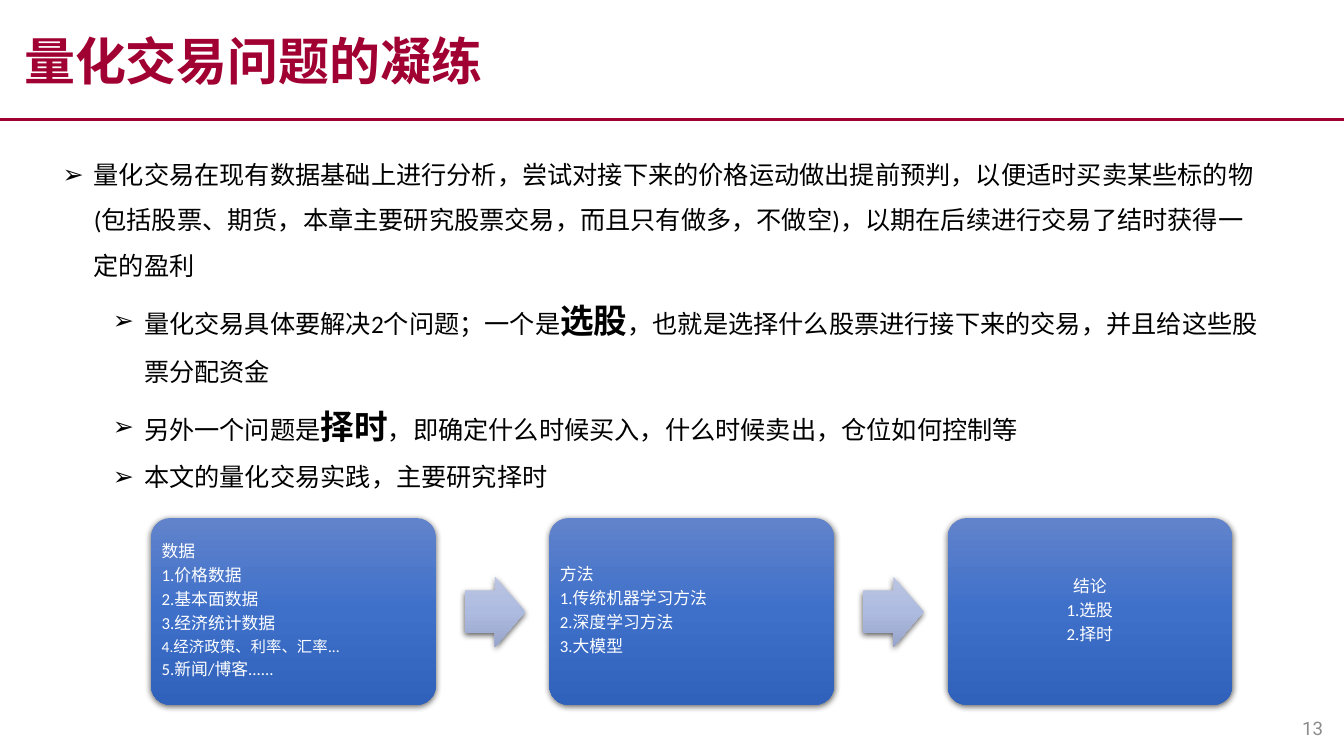
from copy import deepcopy

from lxml import etree
from pptx import Presentation
from pptx.dml.color import RGBColor
from pptx.enum import shapes, text
from pptx.oxml import ns
from pptx.util import Inches, Pt

CJK = "Noto Sans CJK SC"
CRIMSON = "A10032"
BOX_BLUES = ("6183CB", "3E70CA", "3062BB")
ARROW_BLUES = ("BBC5E3", "AEBBE0", "98A4CB")


def style_run(run, size, color, latin="Calibri", bold=False):
    font = run.font
    font.size, font.bold, font.name = Pt(size), bold, latin
    font.color.rgb = RGBColor.from_string(color)
    etree.SubElement(run._r.get_or_add_rPr(), ns.qn("a:ea"), typeface=CJK)


def add_glossy_shape(kind, left, top, width, height, colors):
    """Add a shape with a vertical three-stop gradient and a soft shadow below."""
    shape = page.shapes.add_shape(
        kind, Inches(left), Inches(top), Inches(width), Inches(height))
    shape.line.fill.background()
    shape.fill.gradient()
    shape.fill.gradient_angle = 270
    stop_list = shape._element.spPr.find(".//" + ns.qn("a:gsLst"))
    stop_list.insert(1, deepcopy(stop_list[0]))
    for stop, position, color in zip(shape.fill.gradient_stops, (0, 0.5, 1), colors):
        stop.position = position
        stop.color.rgb = RGBColor.from_string(color)
    shape.shadow.inherit = False
    effects = shape._element.spPr.find(ns.qn("a:effectLst"))
    shadow = etree.SubElement(
        effects, ns.qn("a:outerShdw"), blurRad=str(Pt(4.5)), dist=str(Pt(1.5)),
        dir="5400000", algn="ctr", rotWithShape="0")
    black = etree.SubElement(shadow, ns.qn("a:srgbClr"), val="000000")
    etree.SubElement(black, ns.qn("a:alpha"), val="63000")
    return shape


deck = Presentation()
deck.slide_width, deck.slide_height = Inches(13.33), Inches(7.5)
page = deck.slides.add_slide(deck.slide_layouts[1])

# Title and the rule below it
title = page.shapes.title
title.left, title.top = Inches(0.11), Inches(-0.03)
title.width, title.height = Inches(11.88), Inches(1.25)
frame = title.text_frame
frame.text = "量化交易问题的凝练"
frame.auto_size = text.MSO_AUTO_SIZE.NONE
frame.vertical_anchor = text.MSO_ANCHOR.MIDDLE
frame.margin_left = frame.margin_right = Inches(0.13)
frame.margin_top = frame.margin_bottom = Inches(0.07)
frame.paragraphs[0].alignment = text.PP_ALIGN.LEFT
style_run(frame.paragraphs[0].runs[0], 36.4, CRIMSON, CJK, True)

rule = page.shapes.add_connector(
    shapes.MSO_CONNECTOR.STRAIGHT, 0, Inches(1.19), deck.slide_width, Inches(1.19))
rule.line.color.rgb = RGBColor.from_string(CRIMSON)
rule.line.width = Pt(2.25)
etree.SubElement(rule._element.spPr, ns.qn("a:effectLst"))

# Bulleted text: level, then runs where every second one is emphasised
bullets = [
    (0, ["量化交易在现有数据基础上进行分析，尝试对接下来的价格运动做出提前预判，以便适时买卖某些标的物"
         "(包括股票、期货，本章主要研究股票交易，而且只有做多，不做空)，以期在后续进行交易了结时获得一定的盈利"]),
    (1, ["量化交易具体要解决2个问题；一个是", "选股",
         "，也就是选择什么股票进行接下来的交易，并且给这些股票分配资金"]),
    (1, ["另外一个问题是", "择时", "，即确定什么时候买入，什么时候卖出，仓位如何控制等"]),
    (1, ["本文的量化交易实践，主要研究择时"]),
]
body = page.placeholders[1]
body.left, body.top = Inches(0.52), Inches(1.38)
body.width, body.height = Inches(12.15), Inches(3.58)
frame = body.text_frame
frame.word_wrap = True
frame.auto_size = text.MSO_AUTO_SIZE.SHAPE_TO_FIT_TEXT
for index, (level, pieces) in enumerate(bullets):
    para = frame.paragraphs[0] if index == 0 else frame.add_paragraph()
    para.level = level
    para.line_spacing = 1.5
    para.space_before = Pt(0)
    props = para._p.get_or_add_pPr()
    props.set("marL", str(Inches(0.31 + 0.5 * level)))
    props.set("indent", str(Inches(-0.31)))
    etree.SubElement(props, ns.qn("a:buFont"), typeface="Arial")
    etree.SubElement(props, ns.qn("a:buChar"), char="➢")
    for order, piece in enumerate(pieces):
        strong = order % 2 == 1
        span = para.add_run()
        span.text = piece
        style_run(span, 24 if strong else 18, "000000", bold=strong)

# Process: data, method, conclusion
steps = [
    (text.PP_ALIGN.LEFT, ["数据", "1.价格数据", "2.基本面数据", "3.经济统计数据",
                          "4.经济政策、利率、汇率...", "5.新闻/博客......"]),
    (text.PP_ALIGN.LEFT, ["方法", "1.传统机器学习方法", "2.深度学习方法", "3.大模型"]),
    (text.PP_ALIGN.CENTER, ["结论", "1.选股", "2.择时"]),
]
STEP_PITCH = 3.95
for index, (alignment, lines) in enumerate(steps):
    left = 1.5 + STEP_PITCH * index
    if index:
        arrow = add_glossy_shape(shapes.MSO_SHAPE.RIGHT_ARROW,
                                 left - 0.84, 5.72, 0.6, 0.7, ARROW_BLUES)
        arrow.adjustments[0] = 0.6
    box = add_glossy_shape(shapes.MSO_SHAPE.ROUNDED_RECTANGLE,
                           left, 5.14, 2.82, 1.85, BOX_BLUES)
    box.adjustments[0] = 0.1
    frame = box.text_frame
    frame.word_wrap = True
    frame.vertical_anchor = text.MSO_ANCHOR.MIDDLE
    frame.margin_left = frame.margin_right = Inches(0.05)
    frame.margin_top = frame.margin_bottom = Inches(0.05)
    frame.text = "\n".join(lines)
    for para in frame.paragraphs:
        para.alignment = alignment
        para.line_spacing = 0.9
        after = etree.SubElement(para._p.get_or_add_pPr(), ns.qn("a:spcAft"))
        etree.SubElement(after, ns.qn("a:spcPct"), val="35000")
        style_run(para.runs[0], 11 if para.text.startswith("4.") else 12, "FFFFFF")

# Page number
number = page.shapes.add_textbox(Inches(10.11), Inches(7.02), Inches(3.11), Inches(0.4))
frame = number.text_frame
frame.word_wrap = True
frame.vertical_anchor = text.MSO_ANCHOR.MIDDLE
frame.text = "13"
frame.paragraphs[0].alignment = text.PP_ALIGN.RIGHT
style_run(frame.paragraphs[0].runs[0], 13.3, "8C8C8C", "Roboto")

deck.save("out.pptx")
